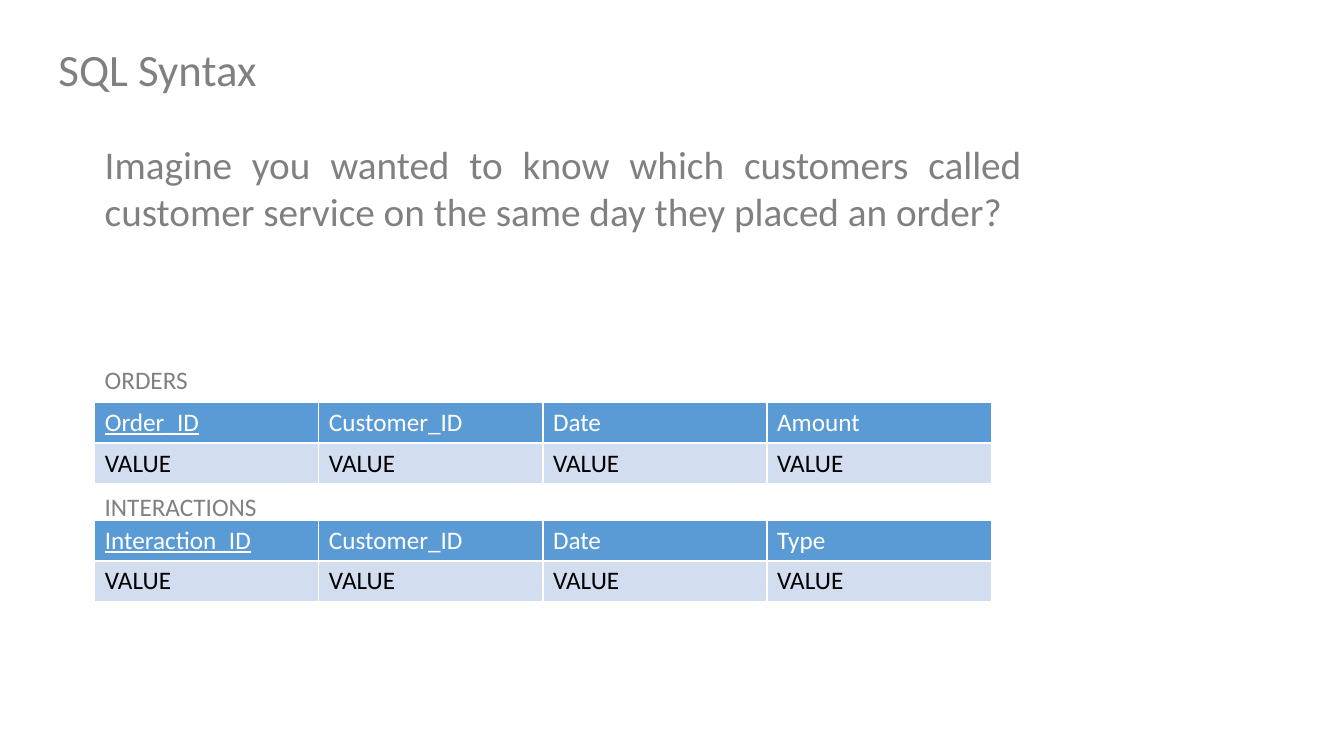
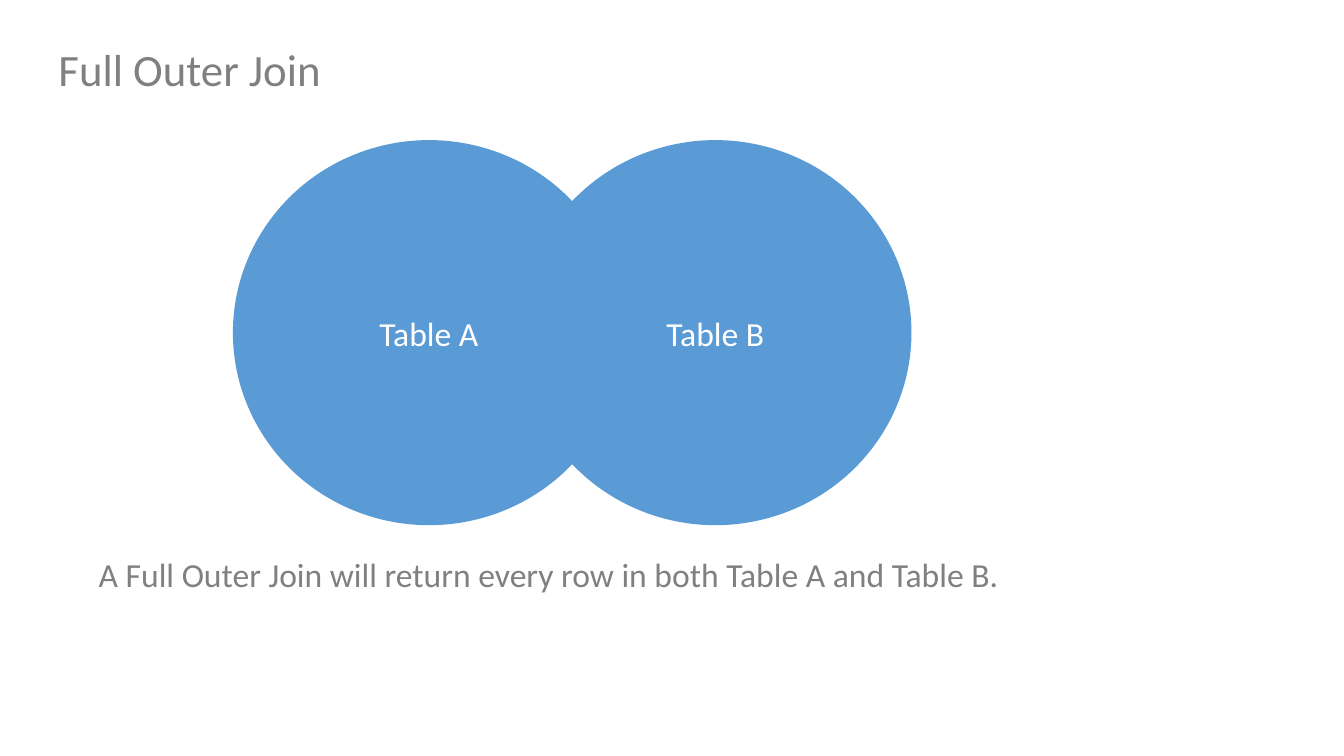
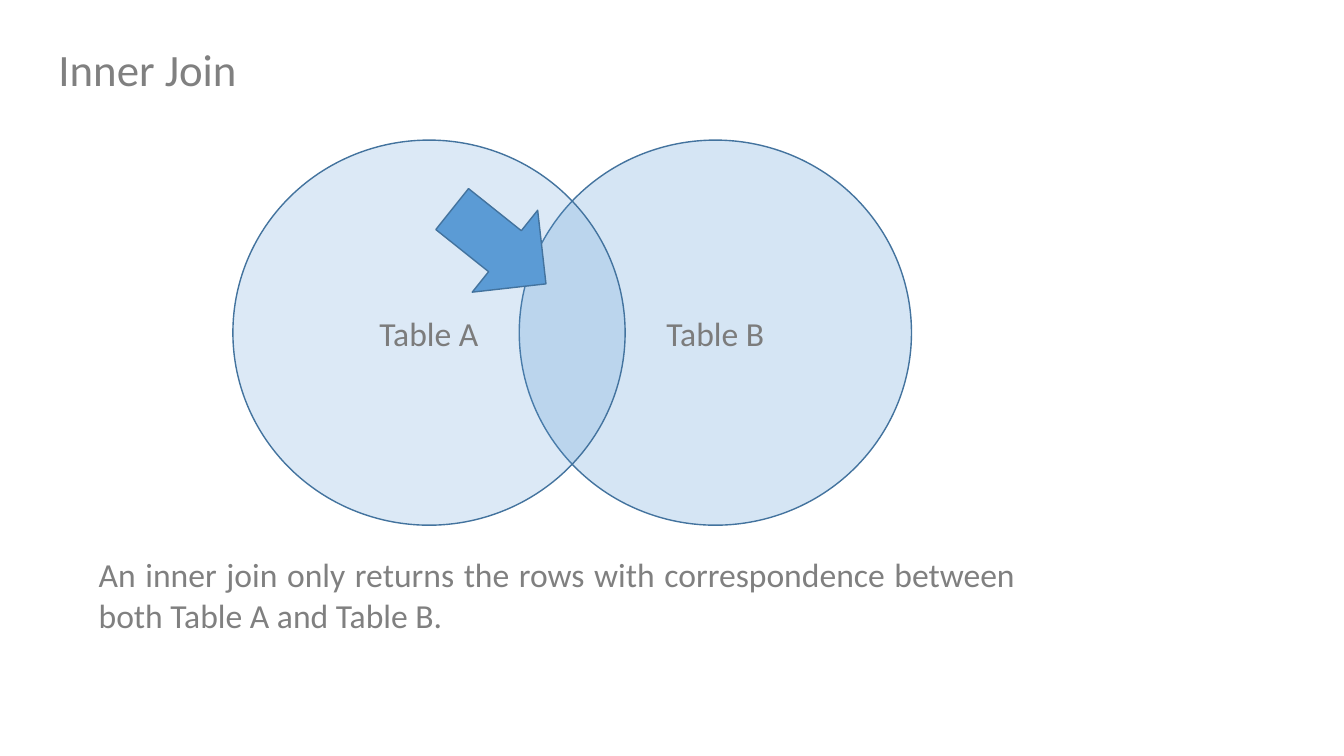
from lxml.etree import SubElement as Sub
from pptx import Presentation
from pptx.dml.color import RGBColor
from pptx.enum.shapes import MSO_SHAPE as Kind
from pptx.enum.text import MSO_ANCHOR as Anchor, PP_ALIGN as Align
from pptx.oxml.ns import qn
from pptx.util import Inches, Pt

FONT = "Calibri"
GREY, DIM = "808080", "7C7C7C"
BLUE, EDGE, PALE = "5B9BD5", "43739E", "D2DEEF"
WHITE, BLACK = "FFFFFF", "000000"


def rgb(code):
    """Turn a hex string into a colour."""
    return RGBColor.from_string(code)


def write(frame, text, size, color, align=Align.LEFT):
    """Set the text of a frame and format it."""
    frame.text = text
    frame.word_wrap = True
    par = frame.paragraphs[0]
    par.alignment = align
    font = par.runs[0].font
    font.name, font.size, font.bold = FONT, Pt(size), False
    font.color.rgb = rgb(color)
    return font


def label(slide, box, text, size, align=Align.LEFT):
    """Place grey text in a box."""
    frame = slide.shapes.add_textbox(*map(Inches, box)).text_frame
    write(frame, text, size, GREY, align)


def start(deck, text):
    """Add a slide with its title."""
    slide = deck.slides.add_slide(deck.slide_layouts[5])
    title = slide.shapes.title
    title.left, title.top = Inches(0.48), Inches(0.36)
    title.width, title.height = Inches(10.95), Inches(0.64)
    write(title.text_frame, text, 32, GREY)
    title.text_frame.vertical_anchor = Anchor.TOP
    return slide


def frame_cell(cell):
    """Give a cell thin white borders."""
    props = cell._tc.get_or_add_tcPr()
    for side in ("lnL", "lnR", "lnT", "lnB"):
        line = Sub(props, qn("a:" + side), w=str(Pt(1)))
        Sub(Sub(line, qn("a:solidFill")), qn("a:srgbClr"), val=WHITE)


def grid(slide, box, heads):
    """Draw a table with a header row and a row of values."""
    rows = [heads, ["VALUE"] * len(heads)]
    looks = [(BLUE, WHITE), (PALE, BLACK)]
    table = slide.shapes.add_table(
        len(rows), len(heads), *map(Inches, box)).table
    for r, (row, (fill, ink)) in enumerate(zip(rows, looks)):
        for c, text in enumerate(row):
            cell = table.cell(r, c)
            frame_cell(cell)
            cell.fill.solid()
            cell.fill.fore_color.rgb = rgb(fill)
            font = write(cell.text_frame, text, 18, ink)
            font.underline = r == 0 and c == 0


def shape(slide, kind, box, alpha=100, edge=None):
    """Draw a blue shape, clear or solid, with or without an edge."""
    item = slide.shapes.add_shape(kind, *map(Inches, box))
    item.shadow.inherit = False
    item.fill.solid()
    item.fill.fore_color.rgb = rgb(BLUE)
    if alpha < 100:
        color = item.fill._xPr.find(".//" + qn("a:srgbClr"))
        Sub(color, qn("a:alpha"), val=str(alpha * 1000))
    if edge:
        item.line.color.rgb = rgb(edge)
        item.line.width = Pt(1)
    else:
        item.line.fill.background()
    return item


def venn(slide, box, sets, ink, edge=None):
    """Draw two overlapping circles across a box."""
    left, top, width, height = box
    size = 3.89
    for name, alpha in sets:
        x = left if name == "A" else left + width - size
        ring = shape(slide, Kind.OVAL, (x, top, size, height), alpha, edge)
        write(ring.text_frame, f"Table {name}", 24, ink, Align.CENTER)
        ring.text_frame.vertical_anchor = Anchor.MIDDLE


def syntax(deck):
    """Build the slide with the question and two tables."""
    slide = start(deck, "SQL Syntax")
    label(slide, (0.94, 1.34, 9.29, 1.1),
          "Imagine you wanted to know which customers called customer "
          "service on the same day they placed an order?", 28, Align.JUSTIFY)
    tables = [("ORDERS", 3.57, 3.99, "Order_ID", "Amount"),
              ("INTERACTIONS", 4.83, 5.16, "Interaction_ID", "Type")]
    for name, head, top, key, last in tables:
        grid(slide, (0.94, top, 8.89, 0.81),
             [key, "Customer_ID", "Date", last])
        label(slide, (0.94, head, 2.47, 0.4), name, 18)


def join(deck, title, note, sets, ink, edge=None):
    """Build a slide with a pair of circles and a note."""
    slide = start(deck, title)
    venn(slide, (2.31, 1.39, 6.73, 3.82), sets, ink, edge)
    label(slide, (0.88, 5.45, 9.29, 0.91), note, 24, Align.JUSTIFY)
    return slide


def main():
    """Build and save the deck."""
    deck = Presentation()
    deck.slide_width, deck.slide_height = Inches(13.33), Inches(7.5)
    syntax(deck)
    join(deck, "Full Outer Join",
         "A Full Outer Join will return every row in both Table A and "
         "Table B.", [("A", 100), ("B", 100)], WHITE)
    inner = join(deck, "Inner Join",
                 "An inner join only returns the rows with correspondence "
                 "between both Table A and Table B.",
                 [("B", 25), ("A", 21)], DIM, EDGE)
    arrow = shape(inner, Kind.DOWN_ARROW, (4.43, 1.85, 1.04, 1.19), edge=EDGE)
    arrow.rotation = 308.6
    deck.save("out.pptx")


if __name__ == "__main__":
    main()
